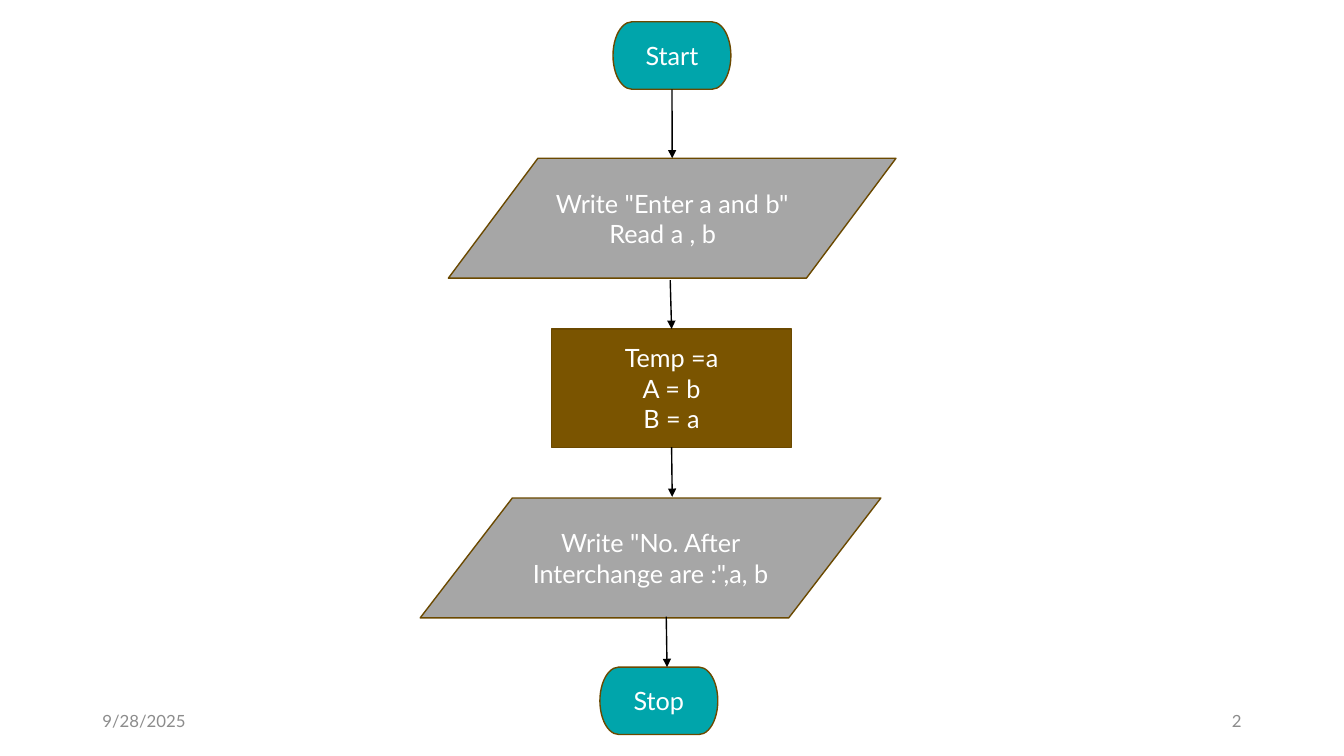
from lxml import etree
from pptx import Presentation
from pptx import util as u
from pptx.dml.color import RGBColor
from pptx.enum import shapes, text
from pptx.oxml import ns

TEAL = RGBColor(0x00, 0xA5, 0xAB)
GREY = RGBColor(0xA6, 0xA6, 0xA6)
BROWN = RGBColor(0x7A, 0x54, 0x00)
OUTLINE = RGBColor(0x6B, 0x49, 0x00)
FOOTER = RGBColor(0x8C, 0x8C, 0x8C)
WHITE = RGBColor(0xFF, 0xFF, 0xFF)
BLACK = RGBColor(0x00, 0x00, 0x00)

SHAPE = shapes.MSO_SHAPE
ALIGN = text.PP_ALIGN


def write(box, lines, align, size, colour):
    frame = box.text_frame
    frame.word_wrap = True
    frame.vertical_anchor = text.MSO_ANCHOR.MIDDLE
    for index, line in enumerate(lines):
        para = frame.add_paragraph() if index else frame.paragraphs[0]
        para.alignment = align
        span = para.add_run()
        span.text = line
        for name, value in {"name": "Lato", "size": u.Pt(size)}.items():
            setattr(span.font, name, value)
        span.font.color.rgb = colour


deck = Presentation()
deck.slide_width, deck.slide_height = u.Cm(33.87), u.Cm(19.05)
page = deck.slides.add_slide(deck.slide_layouts[6])

footers = [(2.33, "9/28/2025", ALIGN.LEFT), (23.92, "2", ALIGN.RIGHT)]
for left, label, align in footers:
    box = page.shapes.add_textbox(u.Cm(left), u.Cm(17.65), u.Cm(7.62), u.Cm(1.02))
    write(box, [label], align, 12, FOOTER)

steps = {
    "start": (SHAPE.FLOWCHART_TERMINATOR, TEAL, (15.45, 0.55, 2.97, 1.7), ["Start"]),
    "stop": (SHAPE.FLOWCHART_TERMINATOR, TEAL, (15.12, 16.81, 2.97, 1.7), ["Stop"]),
    "input": (SHAPE.FLOWCHART_DATA, GREY, (11.3, 3.99, 11.28, 3.02),
              ['Write "Enter a and b"', "Read a , b\u2003"]),
    "swap": (SHAPE.FLOWCHART_PROCESS, BROWN, (13.9, 8.29, 6.05, 2.98),
             ["Temp =a", "A = b", "B = a"]),
    "output": (SHAPE.FLOWCHART_DATA, GREY, (10.59, 12.55, 11.61, 3.02),
               ['Write "No. After Interchange are :",a, b']),
}
boxes = {}
for step, (kind, fill, place, lines) in steps.items():
    box = page.shapes.add_shape(kind, *map(u.Cm, place))
    box.shadow.inherit = False
    box.fill.solid()
    box.fill.fore_color.rgb = fill
    box.line.color.rgb = OUTLINE
    box.line.width = u.Pt(1)
    write(box, lines, ALIGN.CENTER, 18, WHITE)
    boxes[step] = box

arrows = [
    ((16.92, 2.24, 16.94, 3.99), "start", None),
    ((16.89, 7.06, 16.94, 8.31), None, "swap"),
    ((16.89, 11.25, 16.94, 12.52), "swap", None),
    ((16.79, 15.54, 16.81, 16.81), None, None),
]
for ends, source, target in arrows:
    arrow = page.shapes.add_connector(shapes.MSO_CONNECTOR.STRAIGHT, *map(u.Cm, ends))
    if source:
        arrow.begin_connect(boxes[source], 2)
    if target:
        arrow.end_connect(boxes[target], 0)
    arrow.line.color.rgb = BLACK
    arrow.line.width = u.Pt(1)
    etree.SubElement(arrow.line._get_or_add_ln(), ns.qn("a:tailEnd"), type="triangle")
    etree.SubElement(arrow._element.spPr, ns.qn("a:effectLst"))

deck.save("out.pptx")
